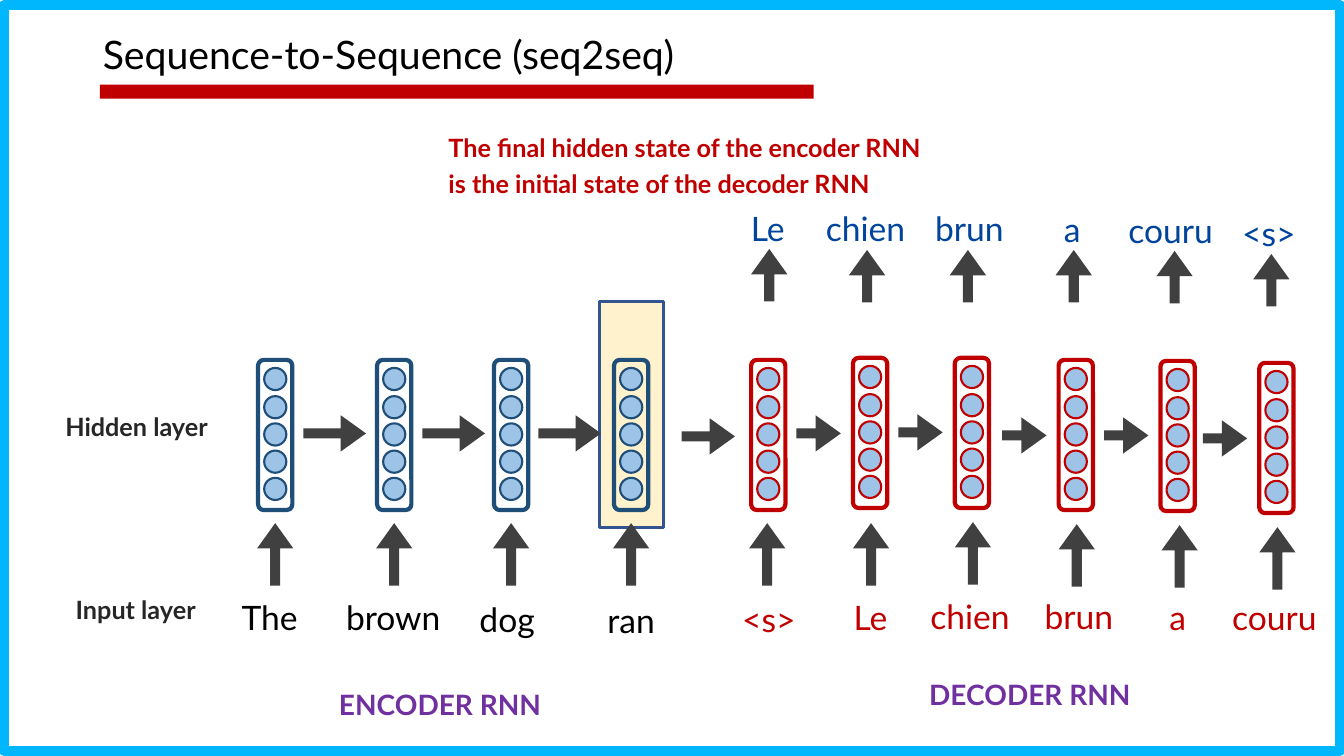
import math
from dataclasses import dataclass
from typing import Optional

import pptx
import pptx.dml.color
import pptx.enum.shapes
import pptx.enum.text
import pptx.util

PX = 9144  # one px is a hundredth of an inch
FONT = "Lato"
COLORS = {
    "frame": "00B6FC", "red": "C00000", "black": "000000", "label": "262626",
    "navy": "1F4E79", "unit": "9DC3E6", "arrow": "404040", "purple": "7030A0",
    "blue": "00449C", "glow": "FFF2CC", "glow_line": "325491",
}
SHAPE = pptx.enum.shapes.MSO_SHAPE
ALIGN = pptx.enum.text.PP_ALIGN
CELL_W, CELL_H, UNIT, UNIT_PITCH = 34, 149, 22, 27.25
ARROW_H, WORD_H = 36, 55


@dataclass(frozen=True)
class Step:
    word: str
    box: tuple[int, int, int]  # word: left, top, width
    cell: tuple[int, int]  # hidden state: centre
    arrow: tuple[int, int]  # input arrow: centre
    onward: Optional[tuple[int, int, int]] = None  # left, top, width
    align: ALIGN = ALIGN.CENTER


@dataclass(frozen=True)
class Output:
    word: str
    box: tuple[int, int, int]
    arrow: tuple[int, int]


@dataclass(frozen=True)
class Label:
    text: str
    box: tuple[int, int, int, int]
    size: int
    color: str
    align: ALIGN


ENCODER = [
    Step("The", (228, 579, 77), (273, 431), (273, 550), (301, 412, 62), ALIGN.RIGHT),
    Step("brown", (322, 579, 136), (391, 431), (391, 550), (419, 412, 62)),
    Step("dog", (435, 581, 136), (507, 431), (507, 550), (534, 412, 62)),
    Step("ran", (558, 582, 136), (626, 431), (626, 550), (676, 415, 53)),
]
DECODER = [
    Step("<s>", (712, 581, 101), (762, 431), (761, 550), (790, 412, 44)),
    Step("Le", (813, 579, 101), (863, 429), (864, 550), (891, 411, 44)),
    Step("chien", (894, 578, 136), (964, 429), (965, 549), (994, 414, 44)),
    Step("brun", (1002, 578, 136), (1067, 431), (1068, 551), (1095, 414, 44)),
    Step("a", (1100, 579, 136), (1168, 432), (1170, 552), (1193, 417, 44)),
    Step("couru", (1196, 579, 136), (1266, 434), (1267, 554)),
]
OUTPUTS = [
    Output("Le", (711, 193, 101), (763, 273)),
    Output("chien", (808, 193, 101), (860, 274)),
    Output("brun", (911, 193, 101), (960, 274)),
    Output("a", (1013, 194, 101), (1065, 274)),
    Output("couru", (1107, 195, 108), (1165, 275)),
    Output("<s>", (1208, 198, 101), (1261, 278)),
]
LABELS = [
    Label("Input layer", (37, 579, 167, 52), 18, "label", ALIGN.RIGHT),
    Label("Hidden layer", (26, 397, 190, 52), 18, "label", ALIGN.RIGHT),
    Label("ENCODER RNN", (296, 670, 281, 52), 20, "purple", ALIGN.CENTER),
    Label("DECODER RNN", (881, 661, 281, 52), 20, "purple", ALIGN.CENTER),
    Label("The final hidden state of the encoder RNN is the initial state "
          "of the decoder RNN", (435, 120, 500, 106), 18, "red", ALIGN.LEFT),
]


def rgb(name: str) -> pptx.dml.color.RGBColor:
    return pptx.dml.color.RGBColor.from_string(COLORS[name])


def set_all(target, values: dict) -> None:
    for name, value in values.items():
        setattr(target, name, value)


def place(sp, left: int, top: int, width: int, height: int) -> None:
    set_all(sp, {"left": left * PX, "top": top * PX,
                 "width": width * PX, "height": height * PX})


def add_shape(shapes, kind, box: tuple[int, int, int, int], fill: str = "",
              line: str = "", weight: float = 0):
    sp = shapes.add_shape(kind, *(v * PX for v in box))
    sp.shadow.inherit = False
    if fill:
        sp.fill.solid()
        sp.fill.fore_color.rgb = rgb(fill)
    else:
        sp.fill.background()
    if line:
        sp.line.color.rgb = rgb(line)
        sp.line.width = pptx.util.Pt(weight)
    else:
        sp.line.fill.background()
    return sp


def write(sp, text: str, size: int, color: str, align: ALIGN,
          bold: bool = False, spacing: float = 1.2) -> None:
    tf = sp.text_frame
    set_all(tf, {"word_wrap": True, "auto_size": pptx.enum.text.MSO_AUTO_SIZE.NONE,
                 "vertical_anchor": pptx.enum.text.MSO_ANCHOR.TOP})
    p = tf.paragraphs[0]
    set_all(p, {"alignment": align, "line_spacing": spacing})
    r = p.add_run()
    r.text = text
    set_all(r.font, {"name": FONT, "size": pptx.util.Pt(size), "bold": bold})
    r.font.color.rgb = rgb(color)


def add_text(s, box: tuple[int, int, int, int], text: str, size: int, color: str,
             align: ALIGN = ALIGN.CENTER, bold: bool = False) -> None:
    sp = s.shapes.add_textbox(*(v * PX for v in box))
    write(sp, text, size, color, align, bold)


def add_arrow(s, left: int, top: int, width: int, rotation: int = 0) -> None:
    sp = add_shape(s.shapes, SHAPE.RIGHT_ARROW, (left, top, width, ARROW_H), "arrow")
    sp.adjustments[0], sp.adjustments[1] = 0.276, 0.696
    sp.rotation = rotation


def add_up_arrow(s, centre: tuple[int, int], length: int) -> None:
    cx, cy = centre
    add_arrow(s, cx - length // 2, cy - ARROW_H // 2, length, 270)


def add_cell(s, centre: tuple[int, int], line: str) -> None:
    cx, cy = centre
    shapes = s.shapes.add_group_shape().shapes
    add_shape(shapes, SHAPE.ROUNDED_RECTANGLE,
              (cx - CELL_W // 2, cy - CELL_H // 2, CELL_W, CELL_H), "", line, 3)
    for i in range(5):
        top = cy - 66 + math.ceil(i * UNIT_PITCH)
        add_shape(shapes, SHAPE.OVAL, (cx - UNIT // 2, top, UNIT, UNIT),
                  "unit", line, 1.5)


def add_step(s, step: Step, line: str, color: str) -> None:
    add_cell(s, step.cell, line)
    add_up_arrow(s, step.arrow, 62)
    if step.onward:
        add_arrow(s, *step.onward)
    add_text(s, (*step.box, WORD_H), step.word, 24, color, step.align)


def main() -> None:
    prs = pptx.Presentation()
    set_all(prs, {"slide_width": 1333 * PX, "slide_height": 750 * PX})
    s = prs.slides.add_slide(prs.slide_layouts[5])

    # Frame, highlight of the final encoder state, title and its rule
    add_shape(s.shapes, SHAPE.RECTANGLE, (4, 5, 1325, 740), "", "frame", 7)
    add_shape(s.shapes, SHAPE.RECTANGLE, (595, 299, 63, 224), "glow", "glow_line", 2)
    add_shape(s.shapes, SHAPE.RECTANGLE, (99, 84, 708, 14), "red")
    title = s.shapes.title
    place(title, 92, 30, 978, 127)
    write(title, "Sequence-to-Sequence (seq2seq)", 28, "black", ALIGN.LEFT, spacing=0.9)

    # Encoder and decoder chains
    for step in ENCODER:
        add_step(s, step, "navy", "black")
    for step in DECODER:
        add_step(s, step, "red", "red")

    # Words produced by the decoder
    for out in OUTPUTS:
        add_text(s, (*out.box, WORD_H), out.word, 24, "blue")
        add_up_arrow(s, out.arrow, 52)

    # Labels
    for label in LABELS:
        add_text(s, label.box, label.text, label.size, label.color, label.align, True)

    prs.save("out.pptx")


if __name__ == "__main__":
    main()
